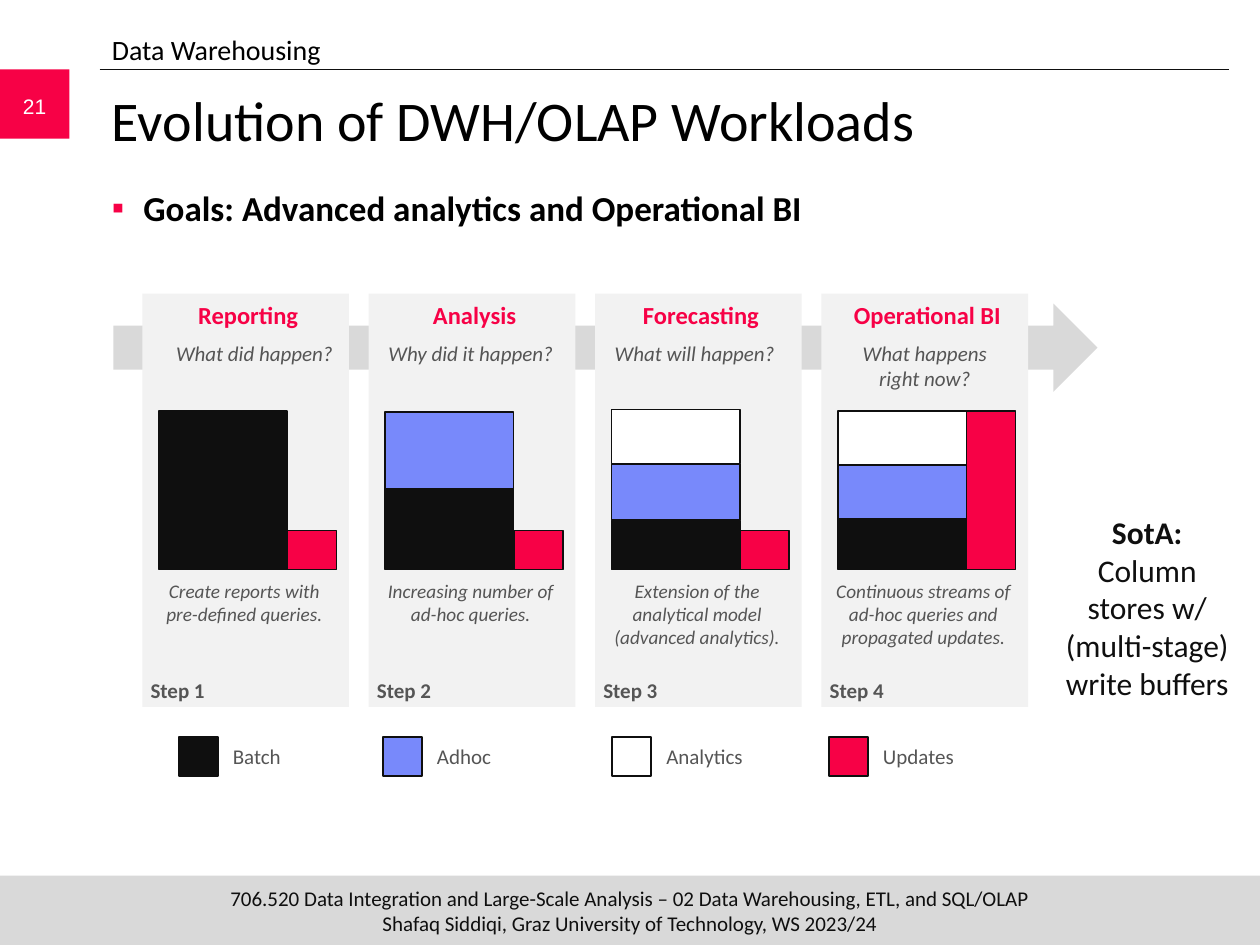
"""Build the slide on the evolution of data warehouse and OLAP workloads."""
from lxml.etree import SubElement
from pptx import Presentation
from pptx.dml.color import RGBColor
from pptx.enum.shapes import MSO_CONNECTOR, MSO_SHAPE
from pptx.enum.text import MSO_ANCHOR, PP_ALIGN
from pptx.oxml.ns import qn
from pptx.util import Inches, Pt

RED = RGBColor(0xF7, 0x01, 0x46)
BLUE = RGBColor(0x78, 0x89, 0xFB)
INK = RGBColor(0x0F, 0x0F, 0x0F)
BLACK = RGBColor(0, 0, 0)
WHITE = RGBColor(0xFF, 0xFF, 0xFF)
TEXT_GRAY = RGBColor(0x55, 0x55, 0x55)
BAND_GRAY = RGBColor(0xD9, 0xD9, 0xD9)
PANEL_GRAY = RGBColor(0xF2, 0xF2, 0xF2)

WIDTH, HEIGHT = 10, 7.5
HEADER = "Data Warehousing"
TITLE = "Evolution of DWH/OLAP Workloads"
GOAL = "Goals: Advanced analytics and Operational BI"
PAGE = "21"
FOOTER = ("706.520 Data Integration and Large-Scale Analysis – 02 Data Warehousing, ETL, and SQL/OLAP\n"
          "Shafaq Siddiqi, Graz University of Technology, WS 2023/24")
STATE_OF_ART = [("SotA:", True), ("Column\nstores w/\n(multi-stage)", False), ("write buffers", False)]

STEPS = [
    dict(name="Reporting", question="What did happen?", shift=0.07, layers=[1.26], updates=0.31,
         description="Create reports with\npre-defined queries."),
    dict(name="Analysis", question="Why did it happen?", shift=-0.01, layers=[0.64, 0.61], updates=0.31,
         description="Increasing number of\nad-hoc queries."),
    dict(name="Forecasting", question="What will happen?", shift=-0.03, layers=[0.39, 0.45, 0.43], updates=0.31,
         description="Extension of the\nanalytical model\n(advanced analytics)."),
    dict(name="Operational BI", question="What happens\nright now?", shift=0, layers=[0.4, 0.43, 0.43], updates=1.26,
         description="Continuous streams of\nad-hoc queries and\npropagated updates."),
]
LAYER_COLORS = [INK, BLUE, WHITE]
LEGEND = [("Batch", INK, 1.42), ("Adhoc", BLUE, 3.04), ("Analytics", WHITE, 4.86), ("Updates", RED, 6.58)]

PANEL_LEFT, PANEL_TOP, PANEL_WIDTH, PANEL_HEIGHT = 1.13, 2.33, 1.64, 3.28
PANEL_PITCH = (6.52 - PANEL_LEFT) / (len(STEPS) - 1)
BAR_INSET, BAR_WIDTH, UPDATE_WIDTH, BAR_BOTTOM = 0.13, 1.02, 0.39, 4.52
SWATCH, LEGEND_TOP, LABEL_WIDTH = 0.31, 5.85, 1.2
CONTENT_LEFT, CONTENT_WIDTH, TAB = 0.79, 8.96, 0.55


def add_box(slide, left, top, width, height, fill, outlined=False, kind=MSO_SHAPE.RECTANGLE):
    shape = slide.shapes.add_shape(kind, *map(Inches, (left, top, width, height)))
    shape.shadow.inherit = False
    shape.fill.solid()
    shape.fill.fore_color.rgb = fill
    if outlined:
        shape.line.color.rgb = INK
        shape.line.width = Pt(1)
    else:
        shape.line.fill.background()


def add_text(slide, left, top, width, height, content, size, color, align=PP_ALIGN.CENTER,
             wrap=False, anchor=MSO_ANCHOR.TOP, margin=0.1, bullet=None, font="Calibri", **style):
    frame = slide.shapes.add_textbox(*map(Inches, (left, top, width, height))).text_frame
    frame.word_wrap = wrap
    frame.vertical_anchor = anchor
    frame.margin_left = frame.margin_right = Inches(margin)
    lines = [(content, style.get("bold", False))] if isinstance(content, str) else content
    for index, (line, bold) in enumerate(lines):
        paragraph = frame.paragraphs[0] if index == 0 else frame.add_paragraph()
        paragraph.text = line
        paragraph.alignment = align
        if bullet:
            add_bullet(paragraph, bullet)
        formats = dict(style, name=font, size=Pt(size), bold=bold)
        for run in paragraph.runs:
            for name, value in formats.items():
                setattr(run.font, name, value)
            run.font.color.rgb = color


def add_bullet(paragraph, character):
    properties = paragraph._p.get_or_add_pPr()
    properties.set("marL", str(Inches(0.25)))
    properties.set("indent", str(-Inches(0.25)))
    SubElement(SubElement(properties, qn("a:buClr")), qn("a:srgbClr"), val=str(RED))
    SubElement(properties, qn("a:buFont"), typeface="Arial")
    SubElement(properties, qn("a:buChar"), char=character)


def add_frame(slide):
    footer = (0, HEIGHT - TAB, WIDTH, TAB)
    add_box(slide, *footer, BAND_GRAY)
    rule = slide.shapes.add_connector(
        MSO_CONNECTOR.STRAIGHT, *map(Inches, (CONTENT_LEFT, TAB, CONTENT_LEFT + CONTENT_WIDTH, TAB)))
    rule.line.color.rgb = INK
    rule.line.width = Pt(0.5)
    SubElement(rule._element.spPr, qn("a:effectLst"))
    add_box(slide, 0, TAB, TAB, TAB, RED)
    add_text(slide, 0, 0.64, TAB, 0.4, PAGE, 12, WHITE, anchor=MSO_ANCHOR.MIDDLE, font="Arial")
    add_text(slide, *footer, FOOTER, 12, INK, anchor=MSO_ANCHOR.MIDDLE, margin=0)
    left = dict(align=PP_ALIGN.LEFT, wrap=True)
    add_text(slide, CONTENT_LEFT, 0.63, CONTENT_WIDTH, 0.83, TITLE, 32, BLACK, **left)
    add_text(slide, CONTENT_LEFT, 1.43, CONTENT_WIDTH, 0.5, GOAL, 20, BLACK, bullet="▪", bold=True, **left)
    add_text(slide, CONTENT_LEFT, 0.21, CONTENT_WIDTH, 0.36, HEADER, 16, BLACK, **left)


def add_step(slide, index, step):
    left = PANEL_LEFT + index * PANEL_PITCH
    add_box(slide, left, PANEL_TOP, PANEL_WIDTH, PANEL_HEIGHT, PANEL_GRAY)
    bar_left, top = left + BAR_INSET, BAR_BOTTOM
    for height, color in zip(step["layers"], LAYER_COLORS):
        top -= height
        add_box(slide, bar_left, top, BAR_WIDTH, height, color, outlined=True)
    add_box(slide, bar_left + BAR_WIDTH, BAR_BOTTOM - step["updates"], UPDATE_WIDTH, step["updates"],
            RED, outlined=True)
    add_text(slide, left + 0.02, PANEL_TOP, PANEL_WIDTH, 0.34, step["name"], 14, RED, bold=True)
    add_text(slide, left + step["shift"], 2.65, PANEL_WIDTH, 0.3, step["question"], 12, TEXT_GRAY, italic=True)
    add_text(slide, left - 0.01, 4.55, PANEL_WIDTH, 0.47, step["description"], 11, TEXT_GRAY, italic=True)
    add_text(slide, left - 0.04, 5.33, 0.64, 0.3, f"Step {index + 1}", 12, TEXT_GRAY, bold=True)


def main():
    presentation = Presentation()
    presentation.slide_width, presentation.slide_height = Inches(WIDTH), Inches(HEIGHT)
    slide = presentation.slides.add_slide(presentation.slide_layouts[6])
    add_frame(slide)
    add_box(slide, 0.9, 2.41, 7.81, 0.7, BAND_GRAY, kind=MSO_SHAPE.RIGHT_ARROW)
    for index, step in enumerate(STEPS):
        add_step(slide, index, step)
    for label, color, left in LEGEND:
        add_box(slide, left, LEGEND_TOP, SWATCH, SWATCH, color, outlined=True)
        add_text(slide, left + SWATCH + 0.02, LEGEND_TOP, LABEL_WIDTH, 0.3, label, 12, TEXT_GRAY,
                 align=PP_ALIGN.LEFT, wrap=True)
    add_text(slide, 8.38, 4.02, 1.45, 1.62, STATE_OF_ART, 18, INK, wrap=True, margin=0)
    presentation.save("out.pptx")


if __name__ == "__main__":
    main()
